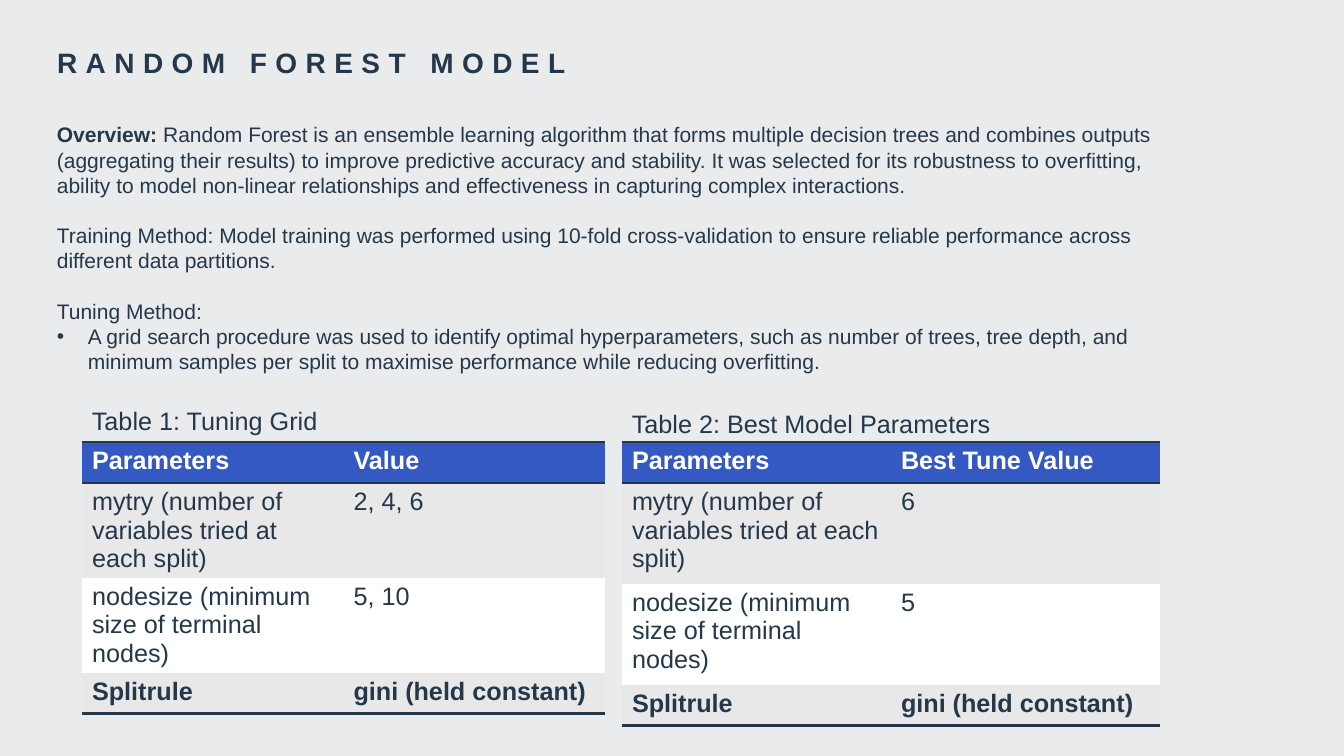
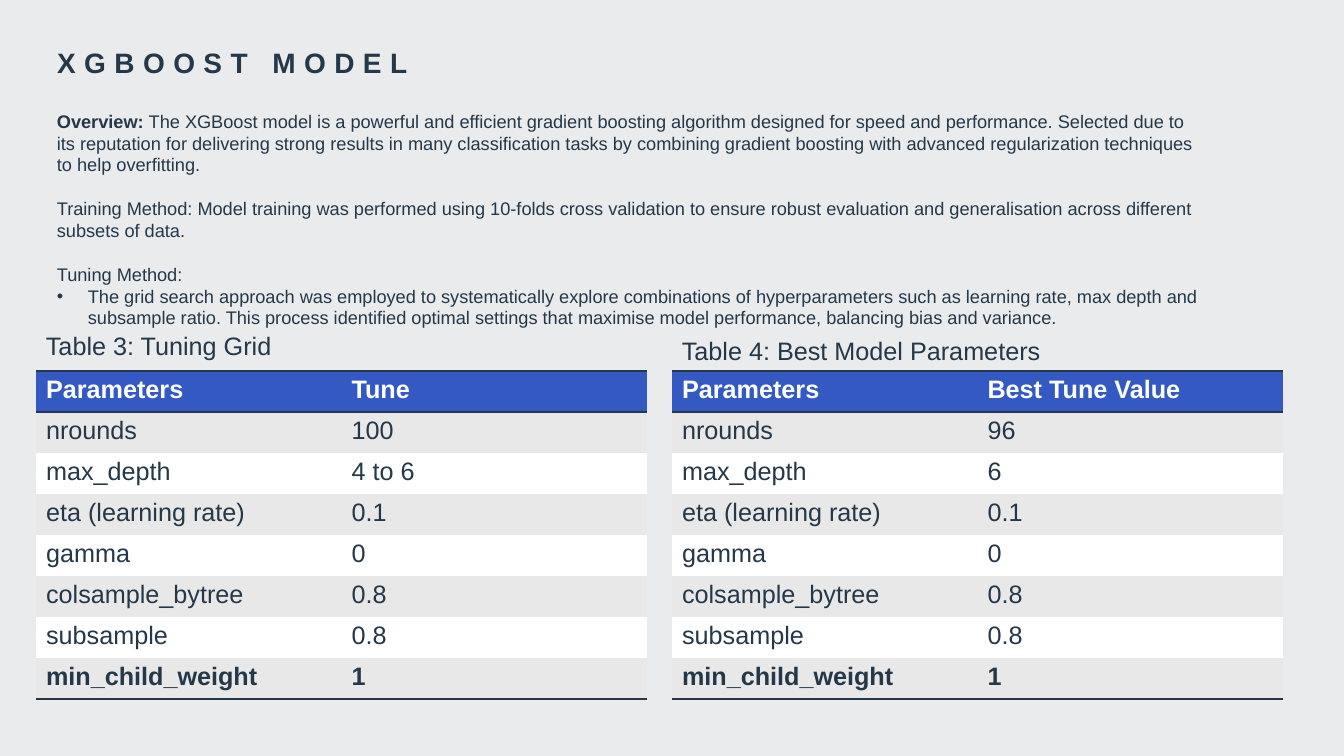
"""Build two slides on the random forest and XGBoost models with their tuning tables."""
from lxml.etree import SubElement
from pptx import Presentation
from pptx.dml.color import RGBColor
from pptx.enum.text import MSO_ANCHOR as ANCHOR, PP_ALIGN as ALIGN
from pptx.oxml.ns import qn
from pptx.util import Pt

PX = 12192000 / 1344
NAVY, TITLE, BLUE = "243849", "25384A", "3559C3"
WHITE, BAND, PAPER = "FEFFFE", "E8E8E9", "E9EBED"
PLAIN_TABLE = "{2D5ABB26-0587-4C30-8999-92F81FD0307C}"
ROW = 41


def px(*lengths):
    return [round(n * PX) for n in lengths]


def style(p, size, color, bold=False):
    for r in p.runs:
        r.font.name, r.font.size, r.font.bold = "Arial", Pt(size), bold
        r.font.color.rgb = RGBColor.from_string(color)


SLIDES = [
    dict(
        title="RANDOM FOREST MODEL", size=15, body=(47, 117, 1153, 265),
        overview="Random Forest is an ensemble learning algorithm that forms multiple decision trees and combines outputs (aggregating their results) to improve predictive accuracy and stability. It was selected for its robustness to overfitting, ability to model non-linear relationships and effectiveness in capturing complex interactions.",
        training="Model training was performed using 10-fold cross-validation to ensure reliable performance across different data partitions.",
        tuning="A grid search procedure was used to identify optimal hyperparameters, such as number of trees, tree depth, and minimum samples per split to maximise performance while reducing overfitting.",
        names=["Parameters", "mytry (number of variables tried at each split)",
               "nodesize (minimum size of terminal nodes)", "Splitrule"],
        top=442, height=283,
        tables=[
            ("Table 1: Tuning Grid", 82, 400, 523,
             ["Value", "2, 4, 6", "5, 10", "gini (held constant)"]),
            ("Table 2: Best Model Parameters", 622, 403, 538,
             ["Best Tune Value", "6", "5", "gini (held constant)"]),
        ],
    ),
    dict(
        title="XGBOOST MODEL", size=13, body=(47, 105, 1164, 231),
        overview="The XGBoost model is a powerful and efficient gradient boosting algorithm designed for speed and performance. Selected due to its reputation for delivering strong results in many classification tasks by combining gradient boosting with advanced regularization techniques to help overfitting.",
        training="Model training was performed using 10-folds cross validation to ensure robust evaluation and generalisation across different subsets of data.",
        tuning="The grid search approach was employed to systematically explore combinations of hyperparameters such as learning rate, max depth and subsample ratio. This process identified optimal settings that maximise model performance, balancing bias and variance.",
        names=["Parameters", "nrounds", "max_depth", "eta (learning rate)", "gamma",
               "colsample_bytree", "subsample", "min_child_weight"],
        top=371, height=327,
        tables=[
            ("Table 3: Tuning Grid", 36, 325, 611,
             ["Tune", "100", "4 to 6", "0.1", "0", "0.8", "0.8", "1"]),
            ("Table 4: Best Model Parameters", 672, 330, 611,
             ["Best Tune Value", "96", "6", "0.1", "0", "0.8", "0.8", "1"]),
        ],
    ),
]

prs = Presentation()
prs.slide_width, prs.slide_height = px(1344, 756)
fill = prs.slide_master.background.fill
fill.solid()
fill.fore_color.rgb = RGBColor.from_string(PAPER)

for data in SLIDES:
    s = prs.slides.add_slide(prs.slide_layouts[5])
    title = s.shapes.title
    title.left, title.top, title.width, title.height = px(47, 24, 1008, 76)
    tf = title.text_frame
    tf.text = data["title"]
    tf.vertical_anchor = ANCHOR.MIDDLE
    p = tf.paragraphs[0]
    p.alignment = ALIGN.LEFT
    style(p, 20, TITLE, True)
    p.runs[0].font._element.set("spc", "600")

    for caption, left, caption_top, width, values in data["tables"]:
        frame = s.shapes.add_table(len(values), 2, *px(left, data["top"], width, data["height"]))
        frame.element.xpath(".//a:tableStyleId")[0].text = PLAIN_TABLE
        table = frame.table
        for column in table.columns:
            column.width = px(width / 2)[0]
        last = len(values) - 1
        for i, row in enumerate(zip(data["names"], values)):
            table.rows[i].height = px(ROW)[0]
            edges = {0: ["a:lnT", "a:lnB"], last: ["a:lnB"]}.get(i, [])
            for cell, text in zip(table.rows[i].cells, row):
                cell.text = text
                style(cell.text_frame.paragraphs[0], 18, NAVY if i else WHITE, i in (0, last))
                for edge in edges:
                    ln = SubElement(cell._tc.get_or_add_tcPr(), qn(edge), w=str(Pt(2)))
                    SubElement(SubElement(ln, qn("a:solidFill")), qn("a:srgbClr"), val=NAVY)
                cell.fill.solid()
                color = BLUE if i == 0 else BAND if i % 2 else WHITE
                cell.fill.fore_color.rgb = RGBColor.from_string(color)
        frame.height = px(data["height"])[0]

        tf = s.shapes.add_textbox(*px(left, caption_top, 430, 40)).text_frame
        tf.word_wrap = True
        tf.text = caption
        style(tf.paragraphs[0], 18, NAVY)

    size = data["size"]
    tf = s.shapes.add_textbox(*px(*data["body"])).text_frame
    tf.word_wrap = True
    tf.text = "\n".join(["Overview: ", "Training Method: " + data["training"],
                         "Tuning Method:", data["tuning"]])
    overview, training, tuning, bullet = tf.paragraphs
    overview.add_run().text = data["overview"]
    for p in tf.paragraphs:
        style(p, size, NAVY)
    overview.runs[0].font.bold = True
    for p in (training, tuning):
        p.space_before = Pt(size * 1.2)
    pPr = bullet._p.get_or_add_pPr()
    indent = px(31)[0]
    pPr.set("marL", str(indent))
    pPr.set("indent", str(-indent))
    SubElement(pPr, qn("a:buFont"), typeface="Arial")
    SubElement(pPr, qn("a:buChar"), char="•")

prs.save("out.pptx")
